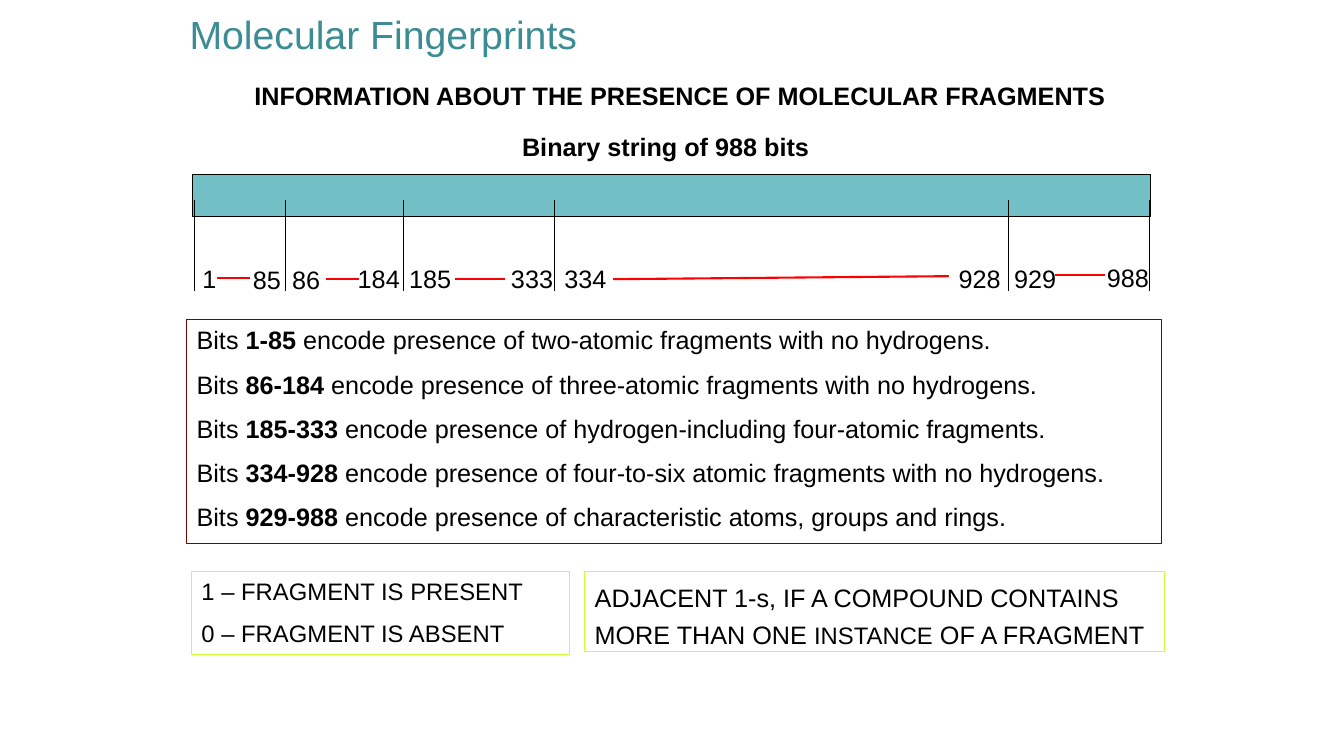
from lxml import etree
from pptx import Presentation
from pptx.dml.color import RGBColor
from pptx.enum.shapes import MSO_CONNECTOR, MSO_SHAPE
from pptx.enum.text import MSO_ANCHOR, MSO_AUTO_SIZE, PP_ALIGN
from pptx.oxml.ns import qn
from pptx.util import Inches, Pt

LEFT, CENTER = PP_ALIGN.LEFT, PP_ALIGN.CENTER
TOP, NO_FIT = MSO_ANCHOR.TOP, MSO_AUTO_SIZE.NONE
RECTANGLE, STRAIGHT = MSO_SHAPE.RECTANGLE, MSO_CONNECTOR.STRAIGHT

BLACK, TEAL, TITLE_TEAL = "000000", "72BFC5", "3C8C93"
RED, MAROON, LIME = "FF0000", "800000", "CCFF33"

TITLE = "Molecular Fingerprints"
HEADINGS = [
    ("INFORMATION ABOUT THE PRESENCE OF MOLECULAR FRAGMENTS", (2.08, 0.75, 9.33, 0.4), CENTER),
    ("Binary string of 988 bits", (5.08, 1.25, 3.17, 0.4), LEFT),
]
BAR = (1.91, 1.73, 9.5, 0.42)
TICKS = [1.93, 2.83, 4, 5.5, 10, 11.4]
TICK_TOP, TICK_BOTTOM = 1.98, 2.89
BIT_LABELS = [
    ("1", 1.91, 2.56, 0.42), ("85", 2.41, 2.57, 0.5),
    ("86", 2.8, 2.57, 0.5), ("184", 3.45, 2.56, 0.67),
    ("185", 3.96, 2.56, 0.67), ("333", 4.97, 2.56, 0.67),
    ("334", 5.5, 2.56, 0.67), ("928", 9.41, 2.56, 0.67),
    ("929", 9.96, 2.56, 0.67), ("988", 10.88, 2.55, 0.67),
]
RANGE_DASHES = [
    (2.15, 2.76, 2.48, 2.76),
    (3.23, 2.77, 3.56, 2.77),
    (4.51, 2.77, 5.01, 2.77),
    (6.08, 2.77, 9.41, 2.74),
    (10.46, 2.73, 10.96, 2.73),
]
FRAGMENTS = [
    ("1-85", "two-atomic fragments with no hydrogens."),
    ("86-184", "three-atomic fragments with no hydrogens."),
    ("185-333", "hydrogen-including four-atomic fragments."),
    ("334-928", "four-to-six atomic fragments with no hydrogens."),
    ("929-988", "characteristic atoms, groups and rings."),
]
LEGEND = ["1 – FRAGMENT IS PRESENT", "0 – FRAGMENT IS ABSENT"]
NOTE = [
    ("ADJACENT 1-s, IF A COMPOUND CONTAINS MORE THAN ONE ", {}),
    ("INSTANCE", {"size": Pt(17)}),
    (" OF A FRAGMENT", {}),
]


def color(value):
    return RGBColor.from_string(value)


def box(values):
    return [Inches(value) for value in values]


def set_outline(shape, line_color, width=0.75):
    shape.line.color.rgb = color(line_color)
    shape.line.width = Pt(width)


def place(shape, bounds):
    shape.left, shape.top, shape.width, shape.height = box(bounds)


def write(shape, paragraphs, size=18, font_color=BLACK, align=LEFT, spacing=None, wrap=True):
    frame = shape.text_frame
    frame.auto_size = NO_FIT
    frame.word_wrap = wrap
    frame.vertical_anchor = TOP
    for index, runs in enumerate(paragraphs):
        paragraph = frame.add_paragraph() if index else frame.paragraphs[0]
        paragraph.alignment = align
        paragraph.space_before = Pt(10 if index else 0)
        if spacing:
            paragraph.line_spacing = spacing
        for text, changes in runs:
            run = paragraph.add_run()
            run.text = text
            run.font.color.rgb = color(font_color)
            style = {"name": "Arial", "size": Pt(size), "bold": False, **changes}
            for name, value in style.items():
                setattr(run.font, name, value)


def add_text(slide, text, bounds, align=LEFT, bold=False):
    shape = slide.shapes.add_textbox(*box(bounds))
    write(shape, [[(text, {"bold": bold})]], align=align)


def add_box(slide, bounds, line_color, fill=None):
    shape = slide.shapes.add_shape(RECTANGLE, *box(bounds))
    shape.shadow.inherit = False
    if fill:
        shape.fill.solid()
        shape.fill.fore_color.rgb = color(fill)
    else:
        shape.fill.background()
    set_outline(shape, line_color)
    return shape


def add_line(slide, ends, line_color, width):
    line = slide.shapes.add_connector(STRAIGHT, *box(ends))
    set_outline(line, line_color, width)
    etree.SubElement(line._element.spPr, qn("a:effectLst"))


def remove_bullets(shape):
    for paragraph in shape.text_frame.paragraphs:
        properties = paragraph._p.get_or_add_pPr()
        properties.set("marL", "0")
        properties.set("indent", "0")
        etree.SubElement(properties, qn("a:buNone"))


def main():
    presentation = Presentation()
    presentation.slide_width, presentation.slide_height = Inches(13.33), Inches(7.5)
    slide = presentation.slides.add_slide(presentation.slide_layouts[1])

    title, fragment_list = slide.placeholders
    place(title, (1.78, 0.05, 4.1, 0.57))
    write(title, [[(TITLE, {})]], size=28, font_color=TITLE_TEAL, wrap=False)

    for text, bounds, align in HEADINGS:
        add_text(slide, text, bounds, align, bold=True)

    add_box(slide, BAR, BLACK, TEAL)
    for x in TICKS:
        add_line(slide, (x, TICK_TOP, x, TICK_BOTTOM), BLACK, 0.75)
    for text, left, top, width in BIT_LABELS:
        add_text(slide, text, (left, top, width, 0.4))
    for ends in RANGE_DASHES:
        add_line(slide, ends, RED, 1.5)

    place(fragment_list, (1.85, 3.17, 9.67, 2.22))
    set_outline(fragment_list, MAROON)
    write(fragment_list, [
        [("Bits ", {}), (bits, {"bold": True}), (f" encode presence of {meaning}", {})]
        for bits, meaning in FRAGMENTS
    ])
    remove_bullets(fragment_list)

    legend = add_box(slide, (1.9, 5.67, 3.75, 0.82), LIME)
    write(legend, [[(text, {})] for text in LEGEND], size=17)
    note = add_box(slide, (5.8, 5.67, 5.75, 0.79), LIME)
    write(note, [NOTE], spacing=1.2)

    presentation.save("out.pptx")


if __name__ == "__main__":
    main()
